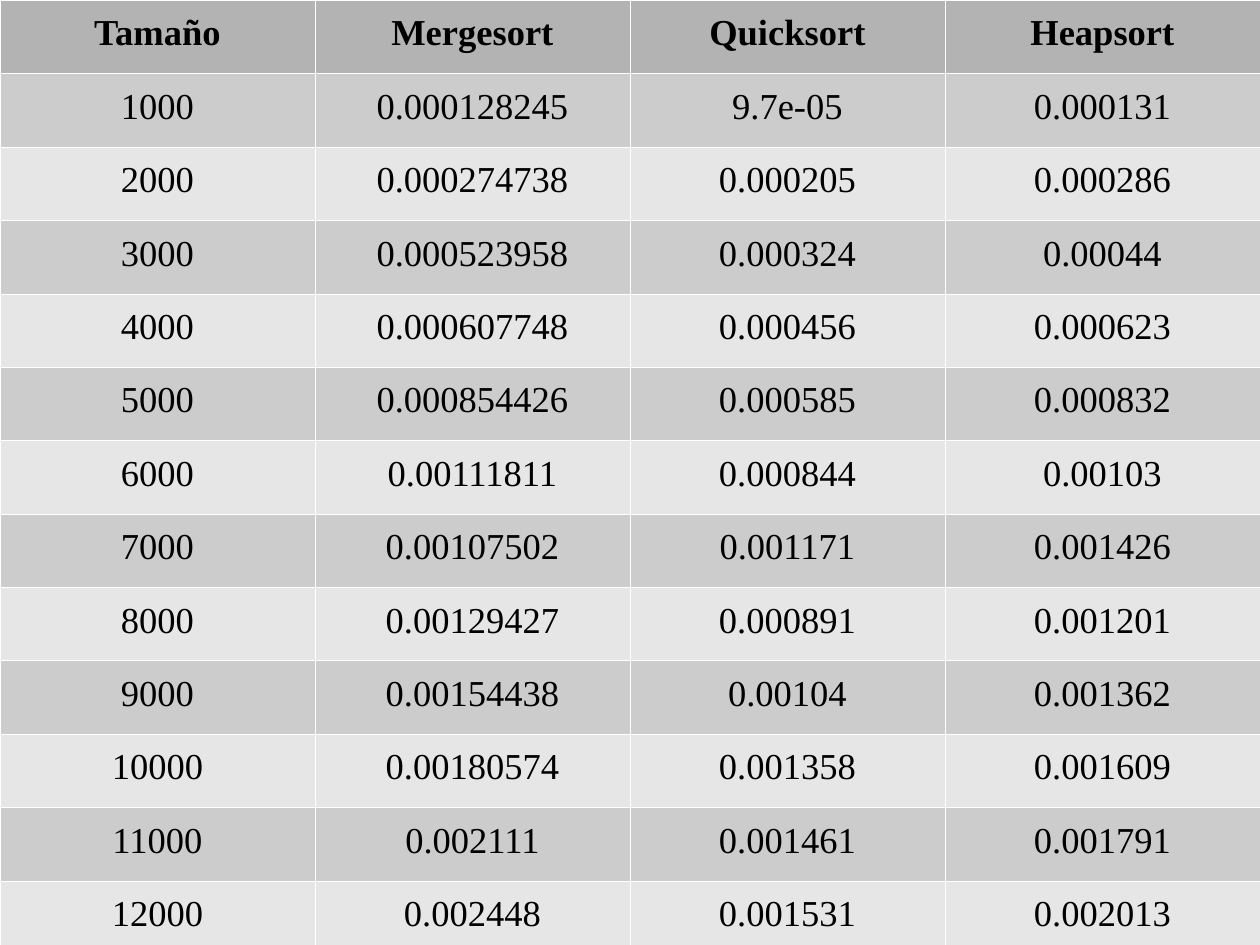
from lxml.etree import SubElement
from pptx import Presentation
from pptx.dml.color import RGBColor
from pptx.enum.text import PP_ALIGN
from pptx.oxml.ns import qn
from pptx.util import Inches, Pt

HEADINGS = ("Tamaño", "Mergesort", "Quicksort", "Heapsort")
TIMINGS = [
    ("1000", "0.000128245", "9.7e-05", "0.000131"),
    ("2000", "0.000274738", "0.000205", "0.000286"),
    ("3000", "0.000523958", "0.000324", "0.00044"),
    ("4000", "0.000607748", "0.000456", "0.000623"),
    ("5000", "0.000854426", "0.000585", "0.000832"),
    ("6000", "0.00111811", "0.000844", "0.00103"),
    ("7000", "0.00107502", "0.001171", "0.001426"),
    ("8000", "0.00129427", "0.000891", "0.001201"),
    ("9000", "0.00154438", "0.00104", "0.001362"),
    ("10000", "0.00180574", "0.001358", "0.001609"),
    ("11000", "0.002111", "0.001461", "0.001791"),
    ("12000", "0.002448", "0.001531", "0.002013"),
]

BLACK = RGBColor(0x00, 0x00, 0x00)
WHITE = RGBColor(0xFF, 0xFF, 0xFF)
HEADING_GREY = RGBColor(0xB3, 0xB3, 0xB3)
BAND_GREYS = (RGBColor(0xE6, 0xE6, 0xE6), RGBColor(0xCC, 0xCC, 0xCC))

FONT = "Times New Roman"
TEXT_SIZE = Pt(23)
LINE_SPACING = 1.19
BORDER_WIDTH = Pt(0.06)
CM_PER_INCH = 2.54
SLIDE_WIDTH, SLIDE_HEIGHT = Inches(28 / CM_PER_INCH), Inches(21 / CM_PER_INCH)
TABLE_HEIGHT = Inches(8.35)


def add_borders(cell):
    """Put the borders ahead of the fill, as the schema requires."""
    properties = cell._tc.get_or_add_tcPr()
    for side in ("a:lnL", "a:lnR", "a:lnT", "a:lnB"):
        border = SubElement(properties, qn(side), w=str(BORDER_WIDTH))
        fill = SubElement(border, qn("a:solidFill"))
        SubElement(fill, qn("a:srgbClr"), val=str(WHITE))


def fill_cell(cell, text, grey, bold):
    add_borders(cell)
    cell.fill.solid()
    cell.fill.fore_color.rgb = grey
    paragraph = cell.text_frame.paragraphs[0]
    paragraph.alignment = PP_ALIGN.CENTER
    paragraph.line_spacing = LINE_SPACING
    run = paragraph.add_run()
    run.text = text
    run.font.name = FONT
    run.font.size = TEXT_SIZE
    run.font.bold = bold
    run.font.color.rgb = BLACK


def main():
    presentation = Presentation()
    presentation.slide_width = SLIDE_WIDTH
    presentation.slide_height = SLIDE_HEIGHT
    slide = presentation.slides.add_slide(presentation.slide_layouts[6])

    rows = [HEADINGS, *TIMINGS]
    table = slide.shapes.add_table(
        len(rows), len(HEADINGS), 0, 0, SLIDE_WIDTH, TABLE_HEIGHT
    ).table
    for row_index, row in enumerate(rows):
        is_heading = row_index == 0
        grey = HEADING_GREY if is_heading else BAND_GREYS[row_index % 2]
        for column_index, text in enumerate(row):
            fill_cell(table.cell(row_index, column_index), text, grey, is_heading)

    presentation.save("out.pptx")


if __name__ == "__main__":
    main()
